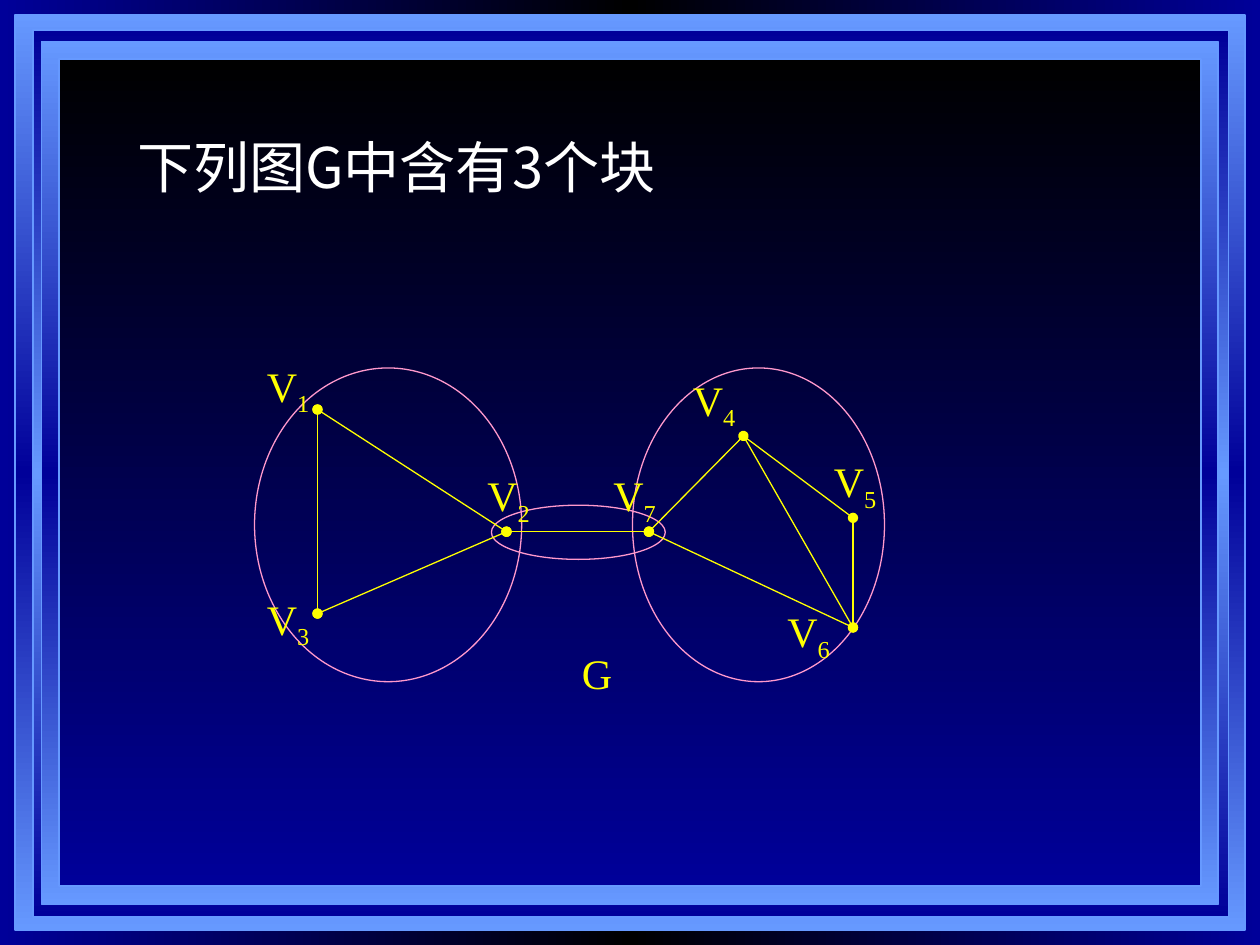
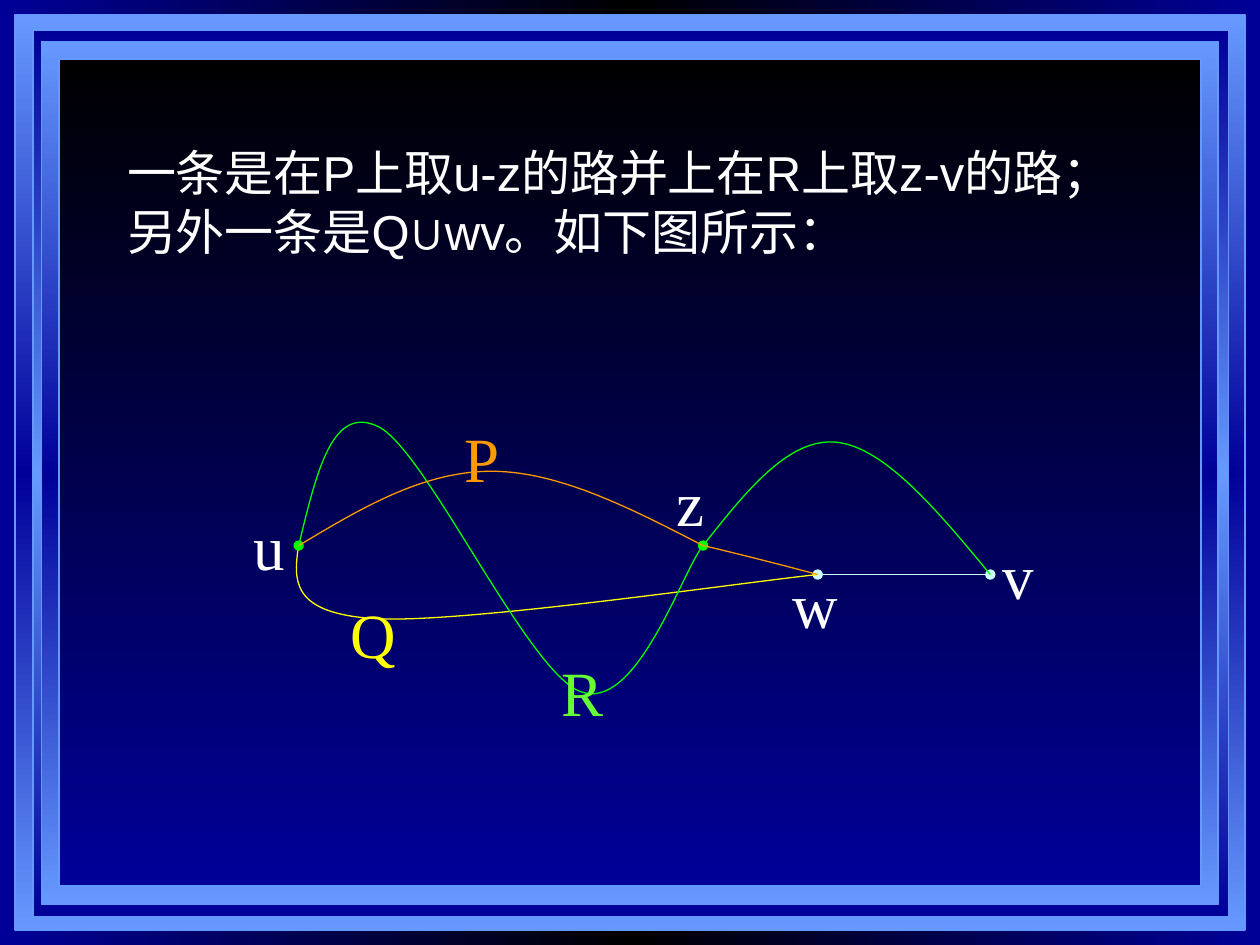
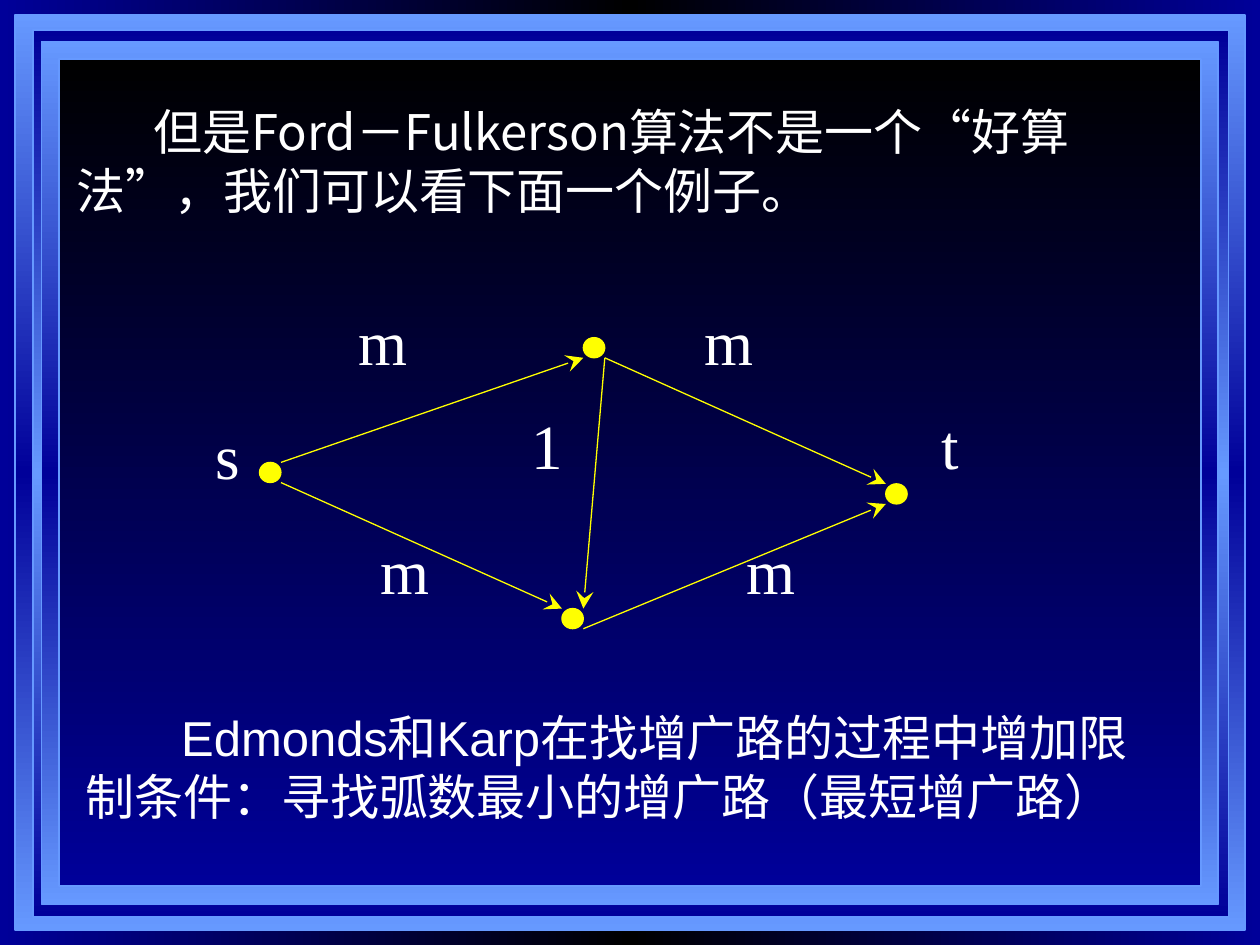
import pptx
import pptx.util
import pptx.dml.color
import pptx.enum.shapes
import pptx.enum.text
import pptx.oxml
import pptx.oxml.ns
from pptx.util import Inches

C = {"navy": "000099", "black": "000000", "sky": "6699FF", "white": "FFFFFF", "yellow": "FFFF00",
     "pink": "FF99CC", "ice": "CCFFFF", "green": "00FF00", "lime": "66FF33", "orange": "FF9900"}
CJK, SANS, SERIF = "Noto Sans CJK SC", "Arial", "Times New Roman"
SHAPE = pptx.enum.shapes.MSO_SHAPE
ALIGN = pptx.enum.text.PP_ALIGN

# Nested frames on the master: box, gradient colours from top to bottom
FRAMES = [
    ((0.12, 0.12, 9.76, 7.26), ("sky", "navy", "sky")),
    ((0.26, 0.24, 9.49, 7.04), ("navy", "sky", "navy")),
    ((0.33, 0.33, 9.34, 6.85), ("sky", "navy", "sky")),
    ((0.47, 0.47, 9.06, 6.56), ("black", "navy")),
]

# Slide 1: vertex number -> (point, label box)
VERTICES = {
    1: ((2.52, 3.25), (2.02, 2.81, 0.62, 0.76)),
    2: ((4.02, 4.22), (3.77, 3.68, 0.62, 0.65)),
    3: ((2.52, 4.87), (2.02, 4.66, 0.62, 0.76)),
    4: ((5.9, 3.46), (5.4, 2.92, 0.62, 0.76)),
    5: ((6.77, 4.11), (6.52, 3.57, 0.59, 0.6)),
    6: ((6.77, 4.98), (6.15, 4.76, 0.62, 0.76)),
    7: ((5.15, 4.22), (4.77, 3.68, 0.62, 0.65)),
}
DOTTED_EDGES = [(1, 2), (3, 2), (1, 3), (7, 6), (7, 4), (5, 6), (2, 7)]
PLAIN_EDGES = [(4, 6), (4, 5)]
BLOCKS = [(2.02, 2.92, 2.12, 2.49), (5.02, 2.92, 2, 2.49), (3.9, 4.01, 1.38, 0.43)]

# Slide 2: Bezier points of each route, labels by top left corner
U, Z, W, V = (2.37, 4.33), (5.58, 4.33), (6.49, 4.56), (7.86, 4.56)
ROUTES = [
    ("yellow", None, [U, (2.33, 4.6), (2.3, 4.87), (2.98, 4.91), (3.67, 4.95), (5.91, 4.62), W]),
    ("green", "oval", [U, (2.51, 3.76), (2.64, 3.2), (3.01, 3.39), (3.39, 3.59), (4.19, 5.34),
                       (4.61, 5.49), (5.04, 5.65), (5.42, 4.52), Z]),
    ("green", None, [Z, (5.92, 3.9), (6.26, 3.47), (6.64, 3.51), (7.02, 3.55), (7.44, 4.05), V]),
    ("orange", None, [U, (2.87, 4.03), (3.36, 3.74), (3.9, 3.74), (4.43, 3.74), (5, 4.03), Z]),
    ("orange", None, [Z, (5.96, 4.42), (6.34, 4.52), W]),
]
ROUTE_LABELS = [("u", 1.91, 3.98, "white"), ("w", 6.19, 4.44, "white"), ("v", 7.86, 4.21, "white"),
                ("z", 5.27, 3.63, "white"), ("Q", 2.68, 4.68, "yellow"),
                ("P", 3.59, 3.28, "orange"), ("R", 4.36, 5.14, "lime")]

# Slide 3: nodes by top left corner; arcs join corners (0 left/top, 1 right/bottom)
NODE_W, NODE_H = 0.17, 0.16
NODES = {"s": (2.06, 3.67), "top": (4.63, 2.68), "bottom": (4.46, 4.83), "t": (7.03, 3.84)}
ARCS = [("s", (1, 0), "top", (0, 1)), ("s", (1, 1), "bottom", (0, 0)),
        ("top", (1, 1), "t", (0, 0)), ("bottom", (1, 1), "t", (0, 1)),
        ("top", (1, 1), "bottom", (1, 0))]
FLOW_LABELS = [("m", (5.49, 2.35, 0.69, 0.99)), ("t", (7.37, 3.18, 0.51, 1.16)),
               ("s", (1.61, 3.26, 0.63, 1.07)), ("m", (5.83, 4.17, 0.69, 0.99)),
               ("m", (2.92, 4.17, 0.68, 0.99)), ("m", (2.75, 2.35, 0.86, 0.99)),
               ("1", (4.12, 3.18, 0.63, 1.07))]


def rgb(name):
    return pptx.dml.color.RGBColor.from_string(C[name])


def child(parent, tag, **attrs):
    el = pptx.oxml.parse_xml(f"<{tag} {pptx.oxml.ns.nsdecls('a')}/>")
    for key, value in attrs.items():
        el.set(key, str(value))
    parent.append(el)
    return el


def gradient(fill, owner, colours, angle):
    """Spread the colours evenly; owner is the element that holds the fill."""
    fill.gradient()
    fill.gradient_angle = angle
    stops = next(owner.iter(pptx.oxml.ns.qn("a:gsLst")))
    for stop in list(stops):
        stops.remove(stop)
    for i, name in enumerate(colours):
        stop = child(stops, "a:gs", pos=100000 * i // (len(colours) - 1))
        child(stop, "a:srgbClr", val=C[name])


def stroke(sp, color, width=0.75, head=None, tail=None, end_size="med"):
    sp.line.color.rgb = rgb(color)
    sp.line.width = pptx.util.Pt(width)
    ln = sp.line._get_or_add_ln()
    for tag, kind in (("a:headEnd", head), ("a:tailEnd", tail)):
        if kind:
            child(ln, tag, type=kind, w=end_size, len=end_size)


def shape(s, kind, at, color, fill=None, width=0.75):
    sp = s.shapes.add_shape(kind, *map(Inches, at))
    sp.shadow.inherit = False
    if fill:
        sp.fill.solid()
        sp.fill.fore_color.rgb = rgb(fill)
    else:
        sp.fill.background()
    stroke(sp, color, width)
    return sp


def line(s, start, end, color="yellow", **ends):
    cn = s.shapes.add_connector(pptx.enum.shapes.MSO_CONNECTOR.STRAIGHT, *map(Inches, start + end))
    stroke(cn, color, **ends)
    child(cn._element.spPr, "a:effectLst")


def curve(s, points, color, ends=None):
    """Draw a chain of cubic curves: each three points after the first make one."""
    emu = [(Inches(x), Inches(y)) for x, y in points]
    builder = s.shapes.build_freeform(*emu[0])
    builder.add_line_segments(emu[1:], close=False)
    sp = builder.convert_to_shape()
    segments = list(sp._element.iter(pptx.oxml.ns.qn("a:lnTo")))
    outline = segments[0].getparent()
    for i in range(0, len(segments), 3):
        cubic = child(outline, "a:cubicBezTo")
        for segment in segments[i:i + 3]:
            cubic.append(segment[0])
            outline.remove(segment)
    sp.shadow.inherit = False
    sp.fill.background()
    stroke(sp, color, head=ends, tail=ends)


def text(s, content, at, size=36, font=SERIF, color="white", align=ALIGN.JUSTIFY,
         sub="", before=0, indent=0, grow=False):
    tf = s.shapes.add_textbox(*map(Inches, at)).text_frame
    tf.word_wrap = True
    if grow:
        tf.auto_size = pptx.enum.text.MSO_AUTO_SIZE.SHAPE_TO_FIT_TEXT
    p = tf.paragraphs[0]
    p.alignment = align
    p.space_before = pptx.util.Pt(before)
    if indent:
        p._p.get_or_add_pPr().set("indent", str(Inches(indent)))
    for part in filter(None, (content, sub)):
        r = p.add_run()
        r.text = part
        r.font.size = pptx.util.Pt(size)
        r.font.name = font
        r.font.color.rgb = rgb(color)
        child(r.font._element, "a:ea", typeface=CJK)
    if sub:
        r.font._element.set("baseline", "-25000")


def statement(s, content, at, size=28, font=SANS, indent=0):
    text(s, content, at, size=size, font=font, align=ALIGN.LEFT,
         before=size * 0.625, indent=indent, grow=True)


def dress_master(prs, s):
    """Set the background and move the frames, drawn on s, to the master."""
    master = prs.slide_master
    gradient(master.background.fill, master.element, ("navy", "black", "navy"), 0)
    for at, colours in FRAMES:
        sp = shape(s, SHAPE.RECTANGLE, at, "sky", width=1)
        gradient(sp.fill, sp._element, colours, 270)
        master.shapes.element.append(sp._element)


def blocks_slide(s):
    statement(s, "下列图G中含有3个块", (0.99, 1, 4.8, 0.64), size=32, font=CJK)
    for at in BLOCKS:
        shape(s, SHAPE.OVAL, at, "pink")
    for number, (_, at) in VERTICES.items():
        text(s, "V", at, size=24, color="yellow", sub=str(number))
    for edges, end in ((DOTTED_EDGES, "oval"), (PLAIN_EDGES, None)):
        for a, b in edges:
            line(s, VERTICES[a][0], VERTICES[b][0], head=end, tail=end)
    text(s, "G", (4.52, 5.09, 0.49, 0.65), size=24, color="yellow")


def routes_slide(s):
    statement(s, "一条是在P上取u-z的路并上在R上取z-v的路；另外一条是Q∪wv。如下图所示：",
              (0.91, 1.08, 8.11, 1.04))
    line(s, W, V, "ice", head="oval", tail="oval")
    for color, ends, points in ROUTES:
        curve(s, points, color, ends)
    for label, x, y, color in ROUTE_LABELS:
        text(s, label, (x, y, 0.61, 0.82), color=color)


def corner(node, side):
    x, y = NODES[node]
    return x + side[0] * NODE_W, y + side[1] * NODE_H


def flow_slide(s):
    statement(s, "但是Ford－Fulkerson算法不是一个“好算法”，我们可以看下面一个例子。",
              (0.51, 0.76, 8.74, 1.04), font=CJK, indent=0.61)
    for a, side_a, b, side_b in ARCS:
        line(s, corner(a, side_a), corner(b, side_b), tail="stealth", end_size="lg")
    for at in NODES.values():
        shape(s, SHAPE.FLOWCHART_CONNECTOR, at + (NODE_W, NODE_H), "yellow", fill="yellow")
    for label, at in FLOW_LABELS:
        text(s, label, at)
    statement(s, "Edmonds和Karp在找增广路的过程中增加限制条件：寻找弧数最小的增广路（最短增广路）",
              (0.58, 5.57, 8.78, 1.04), indent=0.76)


def main():
    prs = pptx.Presentation()
    prs.slide_width, prs.slide_height = Inches(10), Inches(7.5)
    slides = [prs.slides.add_slide(prs.slide_layouts[6]) for _ in range(3)]
    dress_master(prs, slides[0])
    for build, s in zip((blocks_slide, routes_slide, flow_slide), slides):
        build(s)
    prs.save("out.pptx")


if __name__ == "__main__":
    main()
